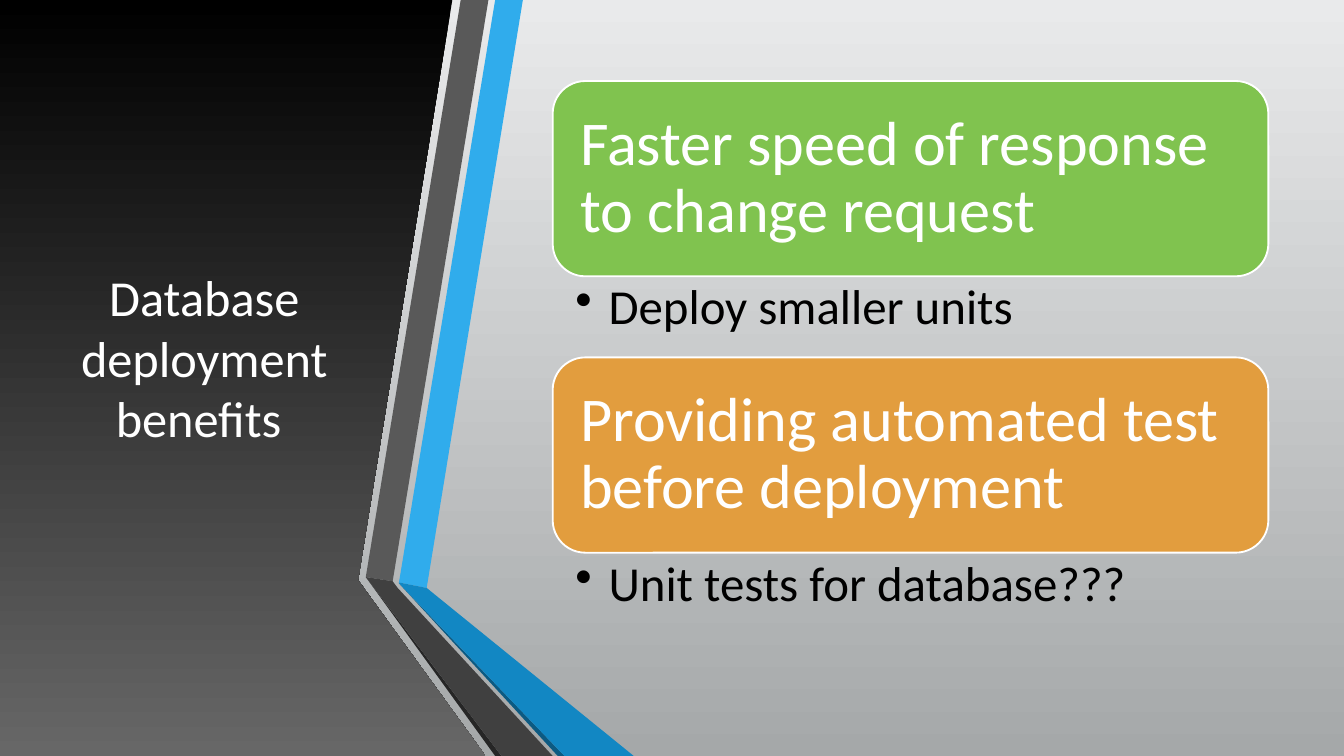
"""Builds the slide on database deployment benefits."""
from pptx import Presentation
from pptx.dml.color import RGBColor
from pptx.enum.shapes import MSO_SHAPE
from pptx.enum.text import MSO_ANCHOR, PP_ALIGN
from pptx.oxml.ns import qn
from pptx.util import Cm, Pt
from lxml import etree

ROUNDED = MSO_SHAPE.ROUNDED_RECTANGLE
TOP, MIDDLE = MSO_ANCHOR.TOP, MSO_ANCHOR.MIDDLE
LEFT, CENTER = PP_ALIGN.LEFT, PP_ALIGN.CENTER

WHITE = RGBColor(0xFF, 0xFF, 0xFF)
BLACK = RGBColor(0x00, 0x00, 0x00)
PALE_GRAY = RGBColor(0xE9, 0xEA, 0xEB)
MID_GRAY = RGBColor(0xA5, 0xA8, 0xA9)
PANEL_GRAY = RGBColor(0x67, 0x67, 0x67)
RIBBON_GRAY = RGBColor(0x59, 0x59, 0x59)
FOLD_GRAY = RGBColor(0x40, 0x40, 0x40)
EDGE_GRAY = RGBColor(0x26, 0x26, 0x26)
RIBBON_BLUE = RGBColor(0x30, 0xAC, 0xEC)
FOLD_BLUE = RGBColor(0x12, 0x87, 0xC3)
EDGE_BLUE = RGBColor(0x0C, 0x5A, 0x82)
GREEN = RGBColor(0x80, 0xC3, 0x4F)
ORANGE = RGBColor(0xE2, 0x9D, 0x3E)

WIDTH, HEIGHT = 32, 18
PANEL = [(0, 0), (10.77, 0), (8.53, 13.79), (8.53, 13.82), (11.56, HEIGHT), (0, HEIGHT)]
RIBBONS = [
    (RIBBON_BLUE, [(9.5, 13.87), (10.16, 14), (12.45, 0), (11.79, 0)]),
    (RIBBON_GRAY, [(11.63, 0), (10.97, 0), (8.71, 13.74), (9.35, 13.84)]),
    (EDGE_GRAY, [(8.71, 13.74), (11.79, HEIGHT), (11.94, HEIGHT)]),
    (EDGE_BLUE, [(9.5, 13.89), (13.28, HEIGHT), (13.44, HEIGHT)]),
    (FOLD_BLUE, [(9.5, 13.89), (13.44, HEIGHT), (15.09, HEIGHT), (10.16, 14), (9.5, 13.87)]),
    (FOLD_GRAY, [(13.16, HEIGHT), (9.47, 14), (9.35, 13.84), (8.71, 13.74), (11.94, HEIGHT)]),
]
BENEFITS = [
    (GREEN, "Faster speed of response to change request", "Deploy smaller units"),
    (ORANGE, "Providing automated test before deployment", "Unit tests for database???"),
]
LIST_LEFT, LIST_TOP, LIST_WIDTH = 13.16, 1.93, 17.04
CARD_HEIGHT, DETAIL_HEIGHT = 4.65, 1.93


class SlideBuilder:
    """Holds the style and the current slide."""

    font = "Calibri"

    def __init__(self, page):
        self.page = page

    def gradient(self, fill, top_color, bottom_color):
        """Fill from top to bottom with two colours."""
        fill.gradient()
        fill.gradient_angle = 270
        for stop, color in zip(fill.gradient_stops, (top_color, bottom_color)):
            stop.color.rgb = color

    def outline(self, points):
        """Draw a closed polygon without a line."""
        corners = [(Cm(x), Cm(y)) for x, y in points]
        builder = self.page.shapes.build_freeform(*corners[0])
        builder.add_line_segments(corners[1:], close=True)
        shape = builder.convert_to_shape()
        shape.shadow.inherit = False
        shape.line.fill.background()
        return shape

    def add_text(self, shape, text, size, color, insets, anchor=MIDDLE, align=LEFT, spacing=0.9):
        """Put one paragraph into a shape."""
        frame = shape.text_frame
        frame.word_wrap = True
        frame.vertical_anchor = anchor
        frame.margin_left, frame.margin_top, frame.margin_right, frame.margin_bottom = map(Cm, insets)
        para = frame.paragraphs[0]
        para.alignment = align
        para.line_spacing = spacing
        span = para.add_run()
        span.text = text
        span.font.name = self.font
        span.font.size = Pt(size)
        span.font.color.rgb = color
        return para

    def title(self, text, left, top, width, height):
        """Add the centred title."""
        box = self.page.shapes.add_textbox(Cm(left), Cm(top), Cm(width), Cm(height))
        self.add_text(box, text, 34, WHITE, (0.25, 0.13, 0.25, 0.13), align=CENTER, spacing=1.0)

    def card(self, text, color, left, top, width, height):
        """Add a rounded headline card."""
        shape = self.page.shapes.add_shape(ROUNDED, Cm(left), Cm(top), Cm(width), Cm(height))
        shape.shadow.inherit = False
        shape.fill.solid()
        shape.fill.fore_color.rgb = color
        shape.line.color.rgb = WHITE
        shape.line.width = Pt(1.25)
        self.add_text(shape, text, 42, WHITE, (0.43,) * 4)

    def detail(self, text, left, top, width, height):
        """Add a bulleted line below a card."""
        box = self.page.shapes.add_textbox(Cm(left), Cm(top), Cm(width), Cm(height))
        para = self.add_text(box, text, 33, BLACK, (0.54, 0.15, 0.84, 0.15), anchor=TOP)
        para.level = 1
        properties = para._p.get_or_add_pPr()
        properties.set("marL", str(Cm(0.79)))
        properties.set("indent", str(-Cm(0.79)))
        etree.SubElement(properties, qn("a:buChar")).set("char", "•")


def main():
    """Build and save the deck."""
    deck = Presentation()
    deck.slide_width, deck.slide_height = Cm(WIDTH), Cm(HEIGHT)
    page = deck.slides.add_slide(deck.slide_layouts[6])
    builder = SlideBuilder(page)
    builder.gradient(page.background.fill, PALE_GRAY, MID_GRAY)

    builder.gradient(builder.outline(PANEL).fill, BLACK, PANEL_GRAY)
    builder.title("Database deployment benefits ", 1.4, 1.8, 6.93, 13.41)
    for color, points in RIBBONS:
        ribbon = builder.outline(points)
        ribbon.fill.solid()
        ribbon.fill.fore_color.rgb = color

    for index, (color, headline, detail) in enumerate(BENEFITS):
        top = LIST_TOP + index * (CARD_HEIGHT + DETAIL_HEIGHT)
        builder.card(headline, color, LIST_LEFT, top, LIST_WIDTH, CARD_HEIGHT)
        builder.detail(detail, LIST_LEFT, top + CARD_HEIGHT, LIST_WIDTH, DETAIL_HEIGHT)

    deck.save("out.pptx")


if __name__ == "__main__":
    main()
